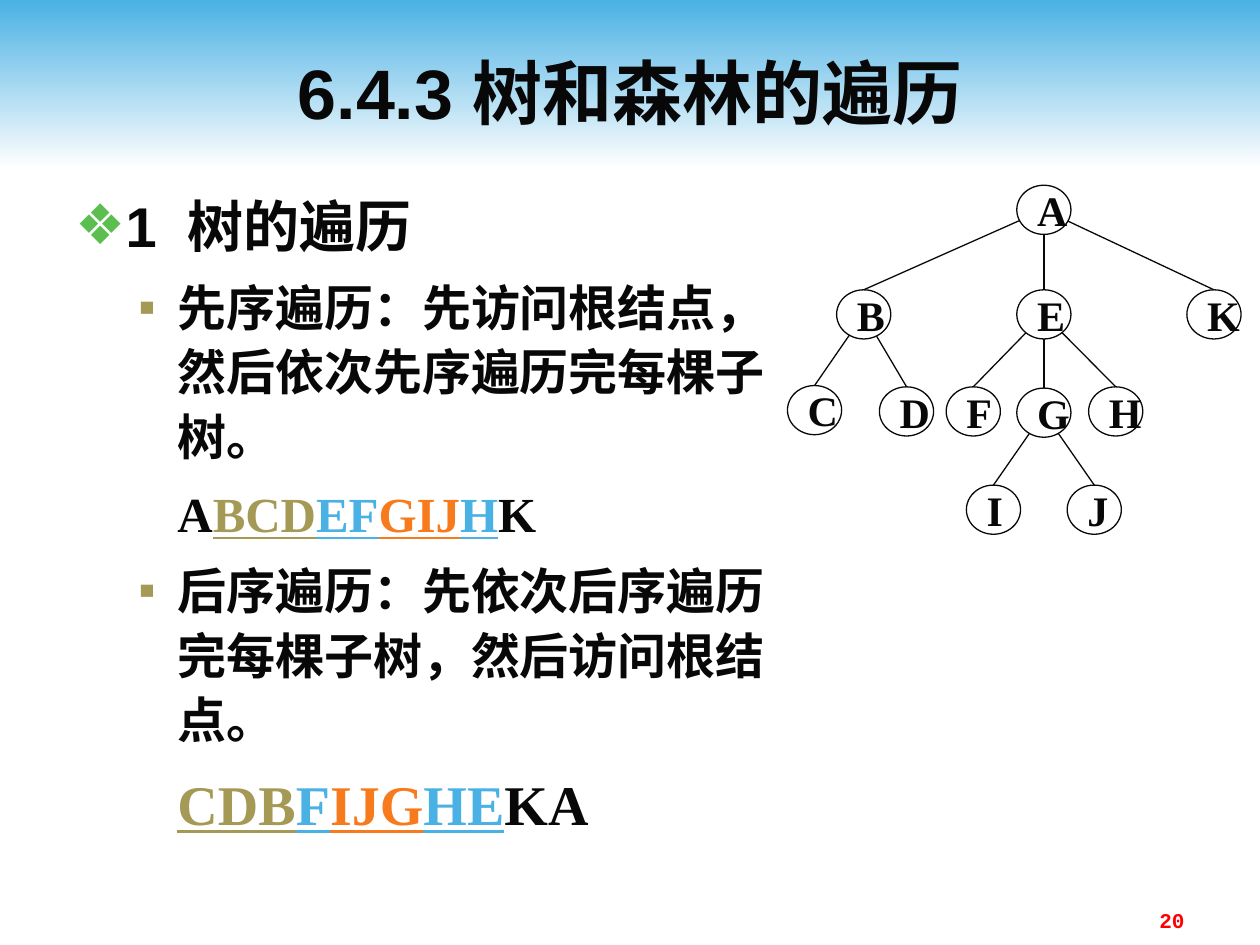
import math
from lxml import etree
from pptx import Presentation
from pptx import util as u
from pptx.dml import color as dml
from pptx.enum import shapes, text
from pptx.oxml import ns

COLORS = {
    "ink": "080808", "sky": "4AB1E4", "white": "FEFEFE", "olive": "A59A55",
    "orange": "F77A1D", "green": "5BBE4E", "red": "FF0000",
}
SERIF = "Times New Roman"

deck = Presentation()
deck.slide_width, deck.slide_height = u.Inches(10), u.Inches(7.5)
slide = deck.slides.add_slide(deck.slide_layouts[6])
col, row = deck.slide_width / 100, deck.slide_height / 75


def grid(x, y, *size):
    return [round(n * unit) for n, unit in zip((x, y, *size), (col, row, col, row))]


def write(paragraph, words, size=28, font="Arial", color="ink", underline=None):
    run = paragraph.add_run()
    run.text = words
    run.font.size, run.font.name = u.Pt(size), font
    run.font.bold, run.font.underline = True, underline
    run.font.color.rgb = dml.RGBColor.from_string(COLORS[color])


banner = slide.shapes.add_shape(shapes.MSO_SHAPE.RECTANGLE, *grid(0, 0, 100, 13.3))
banner.shadow.inherit = False
banner.line.fill.background()
banner.fill.gradient()
banner.fill.gradient_angle = 270
for stop, name, position in zip(banner.fill.gradient_stops, ("sky", "white"), (0, 1)):
    stop.color.rgb = dml.RGBColor.from_string(COLORS[name])
    stop.position = position

heading = slide.shapes.add_textbox(*grid(5, 2.5, 90, 9.5)).text_frame
heading.word_wrap = True
heading.vertical_anchor = text.MSO_ANCHOR.MIDDLE
heading.paragraphs[0].alignment = text.PP_ALIGN.CENTER
write(heading.paragraphs[0], "6.4.3 树和森林的遍历", size=40)

outline = [
    (3.8, -3.8, 8, "❖", "green", 32, "Arial", [("1  树的遍历", "ink")]),
    (8.1, -3.1, 7, "▪", "olive", 28, "Arial",
     [("先序遍历：先访问根结点，然后依次先序遍历完每棵子树。", "ink")]),
    (8.1, 0, 7, None, None, 28, SERIF,
     [("A", "ink"), ("BCD", "olive"), ("EF", "sky"), ("GIJ", "orange"),
      ("H", "sky"), ("K", "ink")]),
    (8.1, -3.1, 7, "▪", "olive", 28, "Arial",
     [("后序遍历：先依次后序遍历完每棵子树，然后访问根结点。", "ink")]),
    (8.1, 0, 8, None, None, 32, SERIF,
     [("CDB", "olive"), ("F", "sky"), ("IJG", "orange"), ("HE", "sky"), ("KA", "ink")]),
]
body = slide.shapes.add_textbox(*grid(5, 14.2, 57.5, 55)).text_frame
body.word_wrap = True
for index, (margin, indent, before, bullet, tint, size, font, parts) in enumerate(outline):
    item = body.add_paragraph() if index else body.paragraphs[0]
    item.line_spacing, item.space_before = 1.1, u.Pt(before)
    item.level = 1 if index else 0
    props = item._p.get_or_add_pPr()
    props.set("marL", str(round(margin * col)))
    props.set("indent", str(round(indent * col)))
    if bullet:
        bullet_color = etree.SubElement(props, ns.qn("a:buClr"))
        etree.SubElement(bullet_color, ns.qn("a:srgbClr"), val=COLORS[tint])
        etree.SubElement(props, ns.qn("a:buFont"), typeface="Arial")
        etree.SubElement(props, ns.qn("a:buChar"), char=bullet)
    else:
        etree.SubElement(props, ns.qn("a:buNone"))
    for words, color in parts:
        write(item, words, size=size, font=font, color=color,
              underline=True if color != "ink" else None)

node_w, node_h = 4.3, 3.9
tree = {
    "A": (80.7, 14.7, None), "B": (66.4, 23, "A"), "E": (80.7, 23, "A"),
    "K": (94.2, 23, "A"), "C": (62.5, 30.6, "B"), "D": (69.8, 30.7, "B"),
    "F": (75.1, 30.7, "E"), "G": (80.7, 30.8, "E"), "H": (86.4, 30.7, "E"),
    "I": (76.7, 38.5, "G"), "J": (84.7, 38.5, "G"),
}
ink = dml.RGBColor.from_string(COLORS["ink"])
for letter, (x, y, parent) in tree.items():
    node = slide.shapes.add_shape(shapes.MSO_SHAPE.OVAL, *grid(x, y, node_w, node_h))
    node.shadow.inherit = False
    node.fill.background()
    node.line.color.rgb, node.line.width = ink, u.Pt(0.75)
    label = node.text_frame
    label.word_wrap = False
    label.vertical_anchor = text.MSO_ANCHOR.MIDDLE
    label.paragraphs[0].alignment = text.PP_ALIGN.LEFT
    write(label.paragraphs[0], letter, size=24, font=SERIF)
    if parent:
        center_x, center_y = tree[parent][0] + node_w / 2, tree[parent][1] + node_h / 2
        dx, dy = x + node_w / 2 - center_x, y - center_y
        rim = 1 / math.hypot(dx / (node_w / 2), dy / (node_h / 2))
        branch = slide.shapes.add_connector(
            shapes.MSO_CONNECTOR.STRAIGHT,
            *grid(center_x + rim * dx, center_y + rim * dy),
            *grid(center_x + dx, y))
        branch.line.color.rgb, branch.line.width = ink, u.Pt(0.75)
        etree.SubElement(branch._element.spPr, ns.qn("a:effectLst"))

page_number = slide.shapes.add_textbox(*grid(71.7, 71.5, 23.3, 2.7)).text_frame
page_number.word_wrap = True
page_number.paragraphs[0].alignment = text.PP_ALIGN.RIGHT
write(page_number.paragraphs[0], "20", size=12, font="Courier New", color="red")

deck.save("out.pptx")
